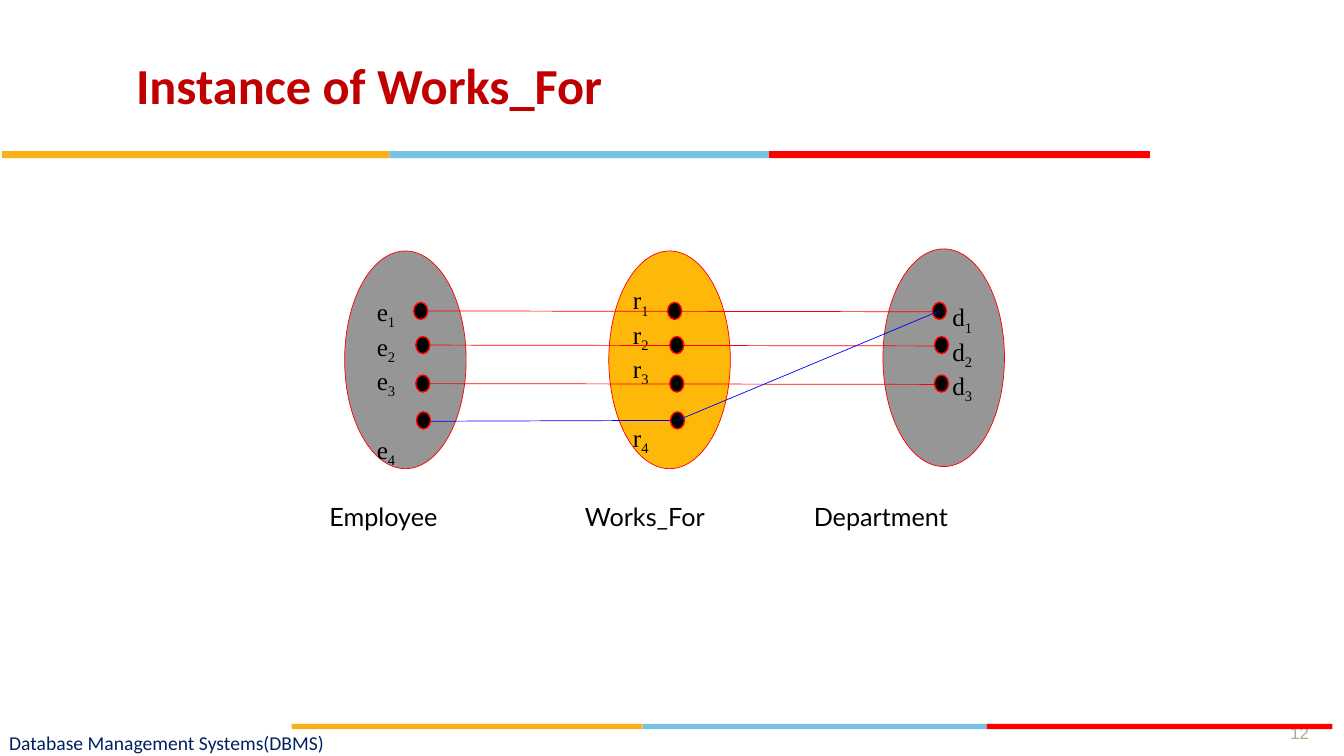
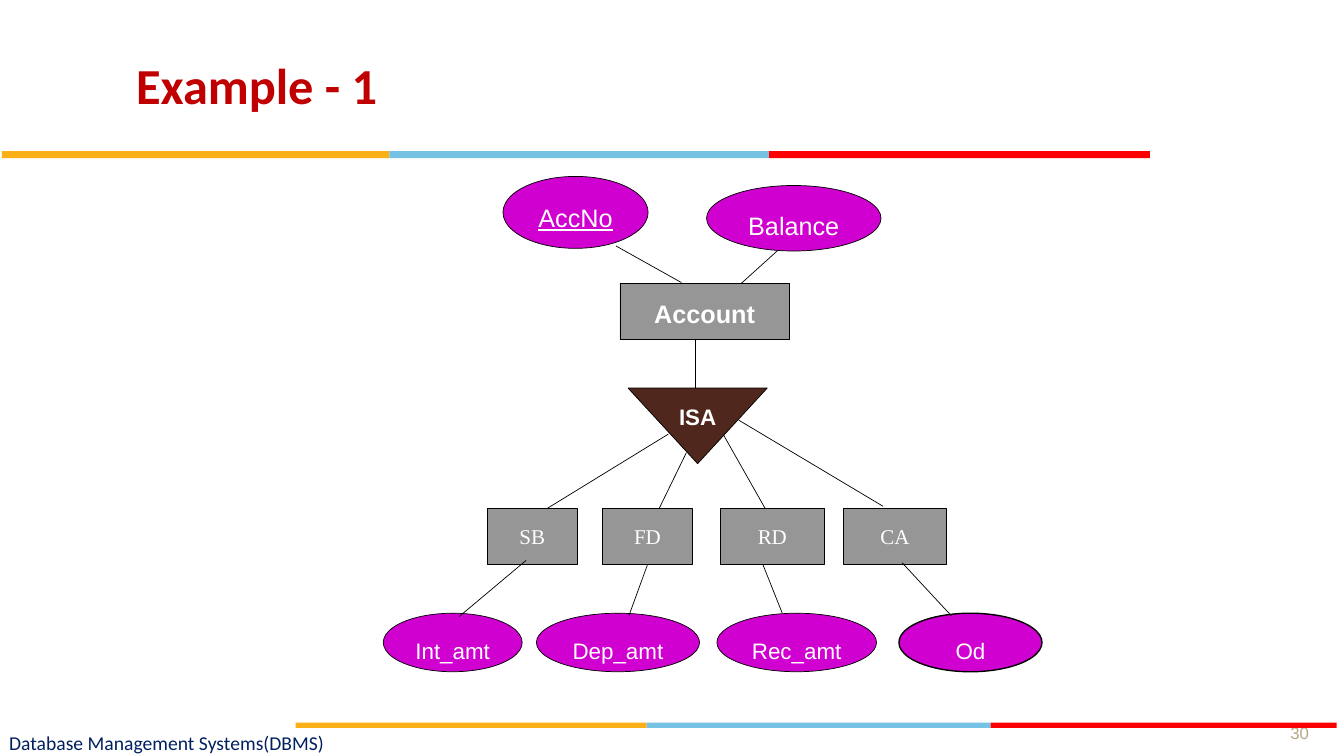
"""Build two database-modelling slides: a relationship instance and an ISA hierarchy."""
from lxml import etree
from pptx import Presentation
from pptx.dml.color import RGBColor
from pptx.enum.shapes import MSO_CONNECTOR, MSO_SHAPE
from pptx.enum.text import MSO_ANCHOR, MSO_AUTO_SIZE, PP_ALIGN
from pptx.oxml.ns import qn
from pptx.util import Pt

OVAL = MSO_SHAPE.OVAL
RECTANGLE = MSO_SHAPE.RECTANGLE
MERGE = MSO_SHAPE.FLOWCHART_MERGE
STRAIGHT = MSO_CONNECTOR.STRAIGHT
TOP, MIDDLE, BOTTOM = MSO_ANCHOR.TOP, MSO_ANCHOR.MIDDLE, MSO_ANCHOR.BOTTOM
LEFT, CENTER = PP_ALIGN.LEFT, PP_ALIGN.CENTER
NO_AUTOFIT = MSO_AUTO_SIZE.NONE
BOTTOM_SITE = 2

BLACK = RGBColor(0x00, 0x00, 0x00)
WHITE = RGBColor(0xFF, 0xFF, 0xFF)
RED = RGBColor(0xFF, 0x00, 0x00)
BLUE = RGBColor(0x00, 0x00, 0xFF)
CRIMSON = RGBColor(0xC0, 0x00, 0x00)
NAVY = RGBColor(0x00, 0x20, 0x60)
TAN = RGBColor(0xB5, 0xA7, 0x88)
GRAY = RGBColor(0x96, 0x96, 0x96)
AMBER = RGBColor(0xFE, 0xB8, 0x0A)
PURPLE = RGBColor(0xD0, 0x00, 0xD0)
BROWN = RGBColor(0x4F, 0x27, 0x1C)
BAND_COLORS = (RGBColor(0xFC, 0xB0, 0x17), RGBColor(0x76, 0xC2, 0xE5), RED)

DOT_WIDTH, DOT_HEIGHT = 10, 12.2
LINK_DROP = 0.6
TITLE_ONLY = 5


def place(left, top, width, height):
    """Turn a box in points into lengths."""
    return Pt(left), Pt(top), Pt(width), Pt(height)


def add_run(paragraph, text, font, size, color, bold=False, underline=False):
    """Append one formatted run to a paragraph."""
    run = paragraph.add_run()
    run.text = text
    run.font.name = font
    run.font.size = Pt(size)
    run.font.color.rgb = color
    run.font.bold = bold
    run.font.underline = underline
    return run


def set_frame(frame, anchor, insets=(7.2, 3.6, 7.2, 3.6), wrap=True):
    """Set a text frame's anchor, insets and wrapping."""
    frame.vertical_anchor = anchor
    frame.word_wrap = wrap
    (frame.margin_left, frame.margin_top,
     frame.margin_right, frame.margin_bottom) = map(Pt, insets)


def add_textbox(slide, box, anchor, insets=(7.2, 3.6, 7.2, 3.6)):
    """Add an empty wrapping text box and return its frame."""
    frame = slide.shapes.add_textbox(*place(*box)).text_frame
    set_frame(frame, anchor, insets)
    return frame


def add_figure(slide, kind, box, fill, line=None, line_width=0.5):
    """Add a flat preset shape, outlined only when a line colour is given."""
    figure = slide.shapes.add_shape(kind, *place(*box))
    figure.shadow.inherit = False
    figure.fill.solid()
    figure.fill.fore_color.rgb = fill
    if line is None:
        figure.line.fill.background()
    else:
        figure.line.color.rgb = line
        figure.line.width = Pt(line_width)
    return figure


def add_link(slide, start, end, color, width=0.5):
    """Add a straight flat connector between two points."""
    link = slide.shapes.add_connector(STRAIGHT, *map(Pt, (*start, *end)))
    link.line.color.rgb = color
    link.line.width = Pt(width)
    etree.SubElement(link._element.spPr, qn("a:effectLst"))
    return link


def add_band(slide, left, top, widths, height):
    """Add a three-colour band with its segments end to end."""
    for width, color in zip(widths, BAND_COLORS):
        add_figure(slide, RECTANGLE, (left, top, width, height), color)
        left += width


def start_slide(deck, title, number):
    """Add a slide with its title and slide number."""
    slide = deck.slides.add_slide(deck.slide_layouts[TITLE_ONLY])
    heading = slide.shapes.title
    heading.left, heading.top, heading.width, heading.height = place(90, 21.6, 848, 77.8)
    set_frame(heading.text_frame, MIDDLE)
    heading.text_frame.auto_size = NO_AUTOFIT
    paragraph = heading.text_frame.paragraphs[0]
    paragraph.alignment = LEFT
    add_run(paragraph, title, "Calibri", 36, CRIMSON, bold=True)
    paragraph = add_textbox(slide, (904.3, 496.8, 48.2, 37.4), BOTTOM).paragraphs[0]
    paragraph.alignment = CENTER
    add_run(paragraph, number, "Arial", 12, TAN)
    return slide


def finish_slide(slide, footer_left, footer_top):
    """Add the title band, the footer band and the course name."""
    add_band(slide, 1.4, 108, (276.8, 271.1, 272.1), 4.9)
    add_band(slide, footer_left, footer_top, (250.7, 245.7, 247.1), 3.8)
    footer = add_textbox(slide, (6.5, 520.6, 357, 19.4), MIDDLE, (0, 0, 0, 0))
    add_run(footer.paragraphs[0], "Database Management Systems(DBMS)", "Calibri", 14, NAVY)


def add_members(slide, left, top, letter, count):
    """List a set's members with subscripts, the fourth one set apart."""
    frame = add_textbox(slide, (left, top, 50, 33 * count), TOP)
    for index in range(1, count + 1):
        paragraph = frame.paragraphs[0] if index == 1 else frame.add_paragraph()
        if index == 4:
            paragraph.space_before = Pt(24.5)
        add_run(paragraph, letter, "Times New Roman", 18, BLACK)
        subscript = add_run(paragraph, str(index), "Times New Roman", 18, BLACK)
        subscript._r.get_or_add_rPr().set("baseline", "-25000")


def add_dots(slide, centers):
    """Mark each entity or relationship instance with a dot."""
    for x, y in centers:
        box = (x - DOT_WIDTH / 2, y - DOT_HEIGHT / 2, DOT_WIDTH, DOT_HEIGHT)
        add_figure(slide, OVAL, box, BLACK, RED, 1)


def add_captions(slide):
    """Name the three sets on one line with tab stops."""
    captions = add_figure(slide, RECTANGLE, (228.2, 342, 509.8, 54), WHITE, WHITE, 0.75)
    set_frame(captions.text_frame, MIDDLE)
    paragraph = captions.text_frame.paragraphs[0]
    paragraph.alignment = LEFT
    stops = etree.SubElement(paragraph._p.get_or_add_pPr(), qn("a:tabLst"))
    for position in (182.5, 346):
        etree.SubElement(stops, qn("a:tab"), pos=str(Pt(position)), algn="l")
    add_run(paragraph, "Employee\tWorks_For\tDepartment", "Lato", 18, BLACK)


def build_instance(deck):
    """Draw the instances of the Works_For relationship."""
    slide = start_slide(deck, "Instance of Works_For", "12")
    for left, top, fill in ((246.2, 179.3, GRAY), (434.9, 179.3, AMBER), (630.7, 177.8, GRAY)):
        add_figure(slide, OVAL, (left, top, 86.8, 155.5), fill, RED)
    add_members(slide, 262.1, 208.2, "e", 4)
    add_members(slide, 445, 199.7, "r", 4)
    add_members(slide, 673.2, 211.9, "d", 3)
    employee_x, works_for_x, department_x = 300.5, 481.9, 671
    first_y = 222.1
    for shift, y in ((0, first_y), (1.5, 246.5), (1.5, 274)):
        centers = [(x + shift, y) for x in (employee_x, works_for_x, department_x)]
        add_link(slide, centers[0], (department_x + shift, y + LINK_DROP), RED)
        add_dots(slide, centers)
    add_captions(slide)
    employee, works_for = (employee_x + 2, 300.3), (works_for_x + 2, 300.3)
    add_link(slide, (employee_x + 2, 300.3 + LINK_DROP), works_for, BLUE)
    add_dots(slide, (works_for, employee))
    add_link(slide, works_for, (department_x, first_y), BLUE)
    finish_slide(slide, 208.3, 517)


def add_node(slide, kind, box, fill, text, font="Arial", size=18, line_width=0.5, **style):
    """Add a diagram node with white centred text."""
    node = add_figure(slide, kind, box, fill, BLACK, line_width)
    set_frame(node.text_frame, TOP, (7.2, 10.8, 7.2, 3.6), wrap=False)
    paragraph = node.text_frame.paragraphs[0]
    paragraph.alignment = CENTER
    add_run(paragraph, text, font, size, WHITE, **style)
    return node


def build_hierarchy(deck):
    """Draw the account hierarchy with its attributes."""
    slide = start_slide(deck, "Example - 1", "30")
    add_link(slide, (496.8, 242.6), (496.8, 290), BLACK, 1)
    add_node(slide, OVAL, (359.3, 126, 103.7, 51.4), PURPLE, "AccNo", underline=True)
    add_node(slide, OVAL, (504.7, 132.5, 124.6, 46.8), PURPLE, "Balance")
    add_node(slide, RECTANGLE, (442.8, 202.3, 121, 40.3), GRAY, "Account", bold=True)
    add_node(slide, MERGE, (448.6, 277.2, 99.4, 54), BROWN, "ISA", size=16, bold=True)
    accounts = {}
    for text, left, width in (("SB", 348, 64.4), ("FD", 430.3, 64.4),
                              ("RD", 514.5, 74.4), ("CA", 602.5, 73.6)):
        accounts[text] = add_node(slide, RECTANGLE, (left, 363.1, width, 40.3), GRAY, text,
                                  "Times New Roman", 15)
    for text, left, width, outline in (("Int_amt", 273.8, 99.2, 0.5), ("Dep_amt", 383.2, 116.5, 0.5),
                                       ("Rec_amt", 512.1, 114, 0.5), ("Od", 642.1, 102.2, 1)):
        add_node(slide, OVAL, (left, 438, width, 41.8), PURPLE, text, size=16, line_width=outline)
    for start, end in (
        ((440, 175.7), (486.7, 201.8)),
        ((555.1, 179.3), (529.2, 202.7)),
        ((477.4, 310.1), (391, 363.1)),
        ((490.3, 323.3), (470.9, 363.1)),
        ((517, 311), (546.5, 363.1)),
        ((527.8, 300.2), (630.7, 361.6)),
        ((375.8, 400.3), (328, 440.4)),
        ((545, 403.4), (558.7, 437.8)),
        ((644.4, 402), (679.7, 440)),
    ):
        add_link(slide, start, end, BLACK)
    deposit_link = add_link(slide, (462.5, 403.4), (449.3, 439.6), BLACK)
    deposit_link.begin_connect(accounts["FD"], BOTTOM_SITE)
    finish_slide(slide, 211.2, 516.2)


def main():
    """Build and save the presentation."""
    deck = Presentation()
    deck.slide_width, deck.slide_height = Pt(960), Pt(540)
    build_instance(deck)
    build_hierarchy(deck)
    deck.save("out.pptx")


if __name__ == "__main__":
    main()
